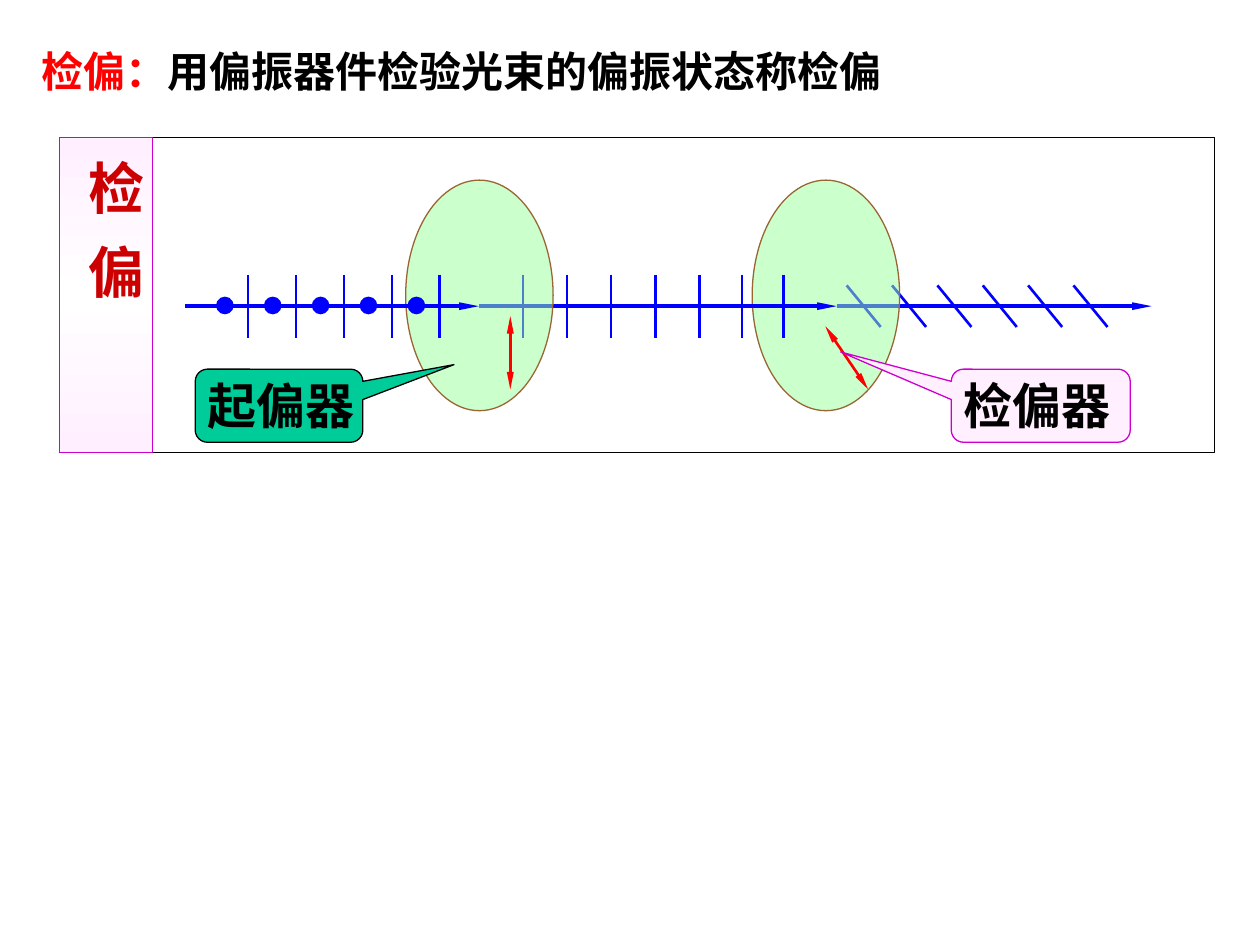
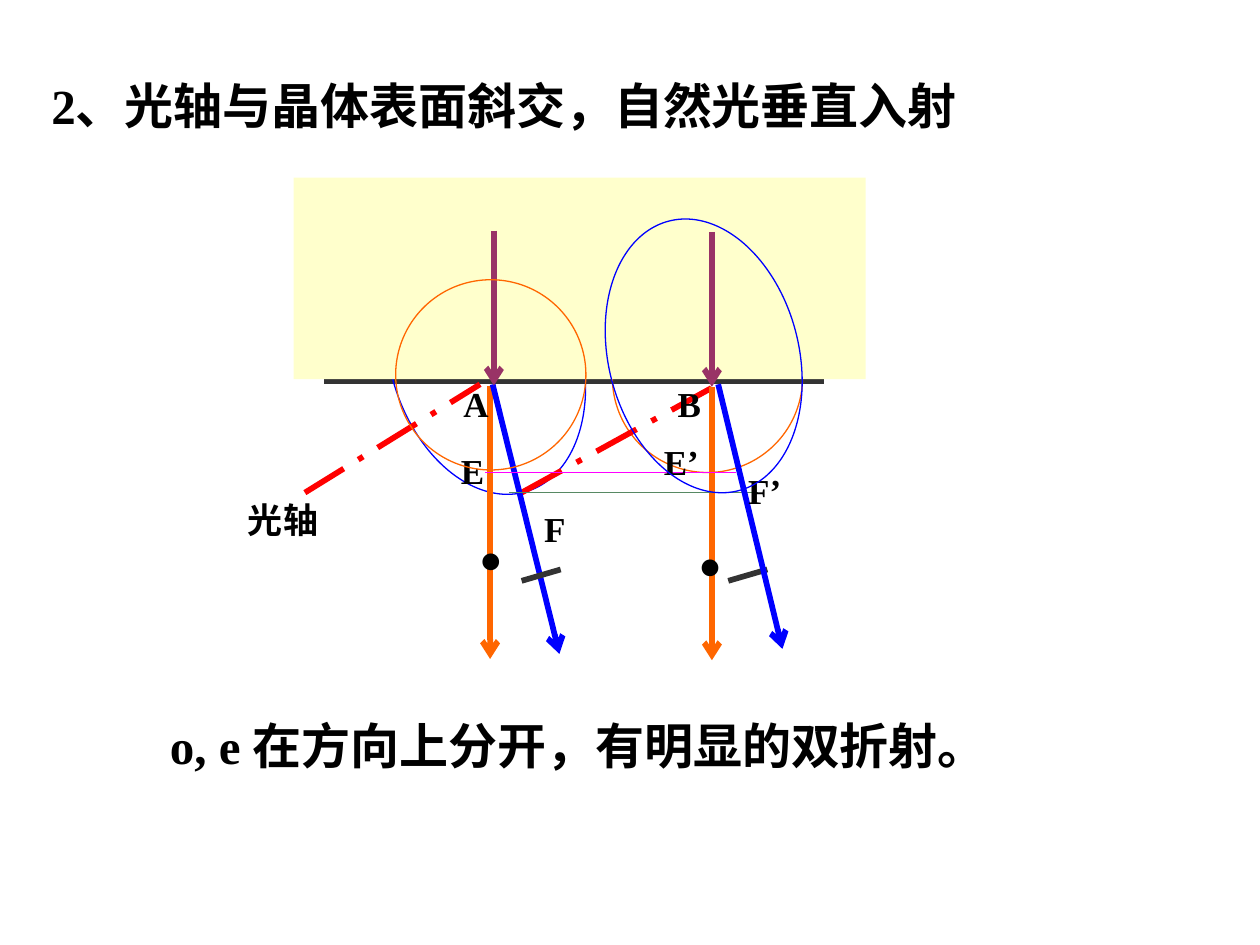
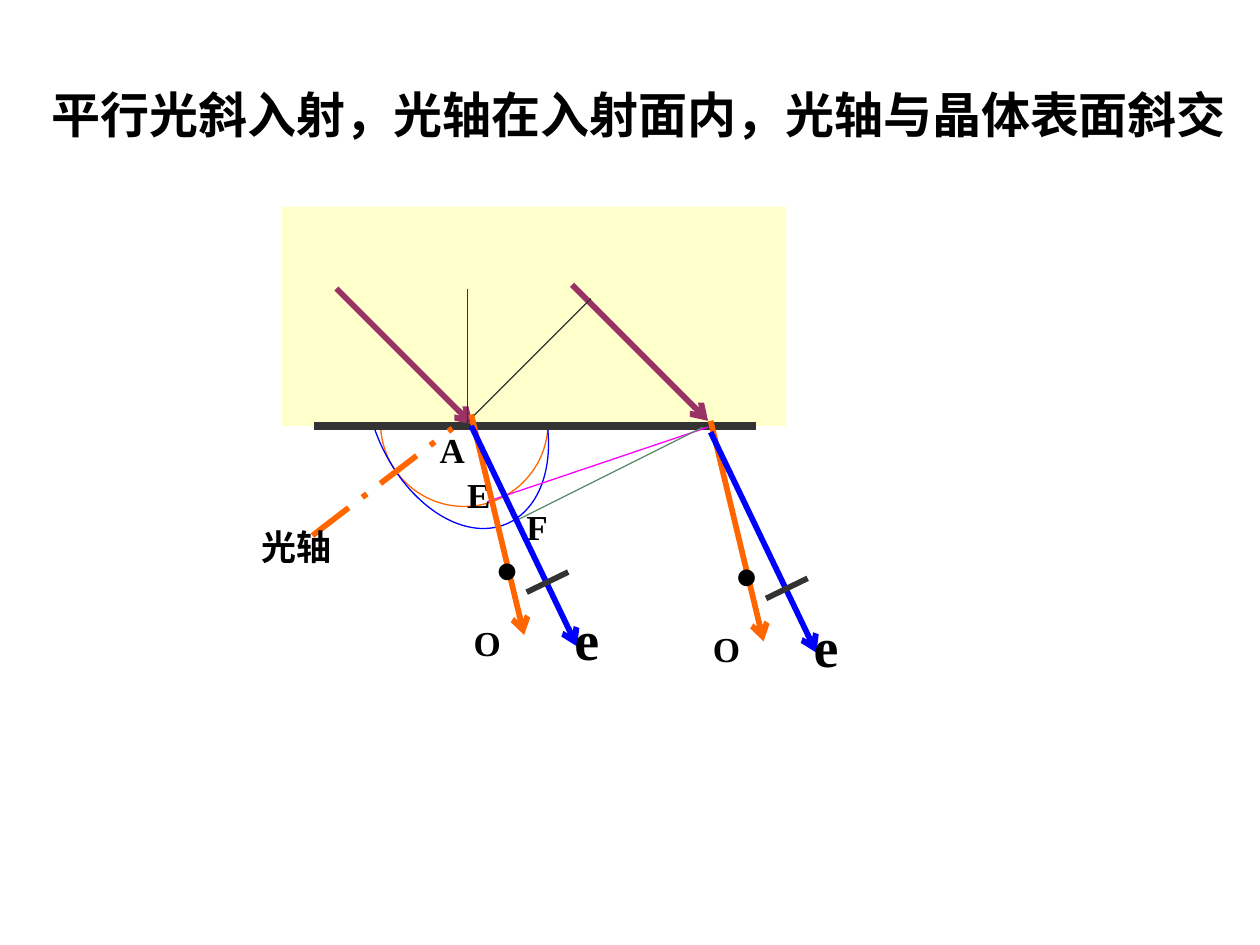
from copy import deepcopy

from lxml import etree
from pptx import Presentation
from pptx.dml.color import RGBColor
from pptx.enum.dml import MSO_LINE
from pptx.enum.shapes import MSO_CONNECTOR, MSO_SHAPE
from pptx.enum.text import MSO_ANCHOR
from pptx.oxml.ns import qn
from pptx.util import Inches, Pt

RECT, OVAL = MSO_SHAPE.RECTANGLE, MSO_SHAPE.OVAL
BUBBLE = MSO_SHAPE.ROUNDED_RECTANGULAR_CALLOUT
STRAIGHT = MSO_CONNECTOR.STRAIGHT
DASH = MSO_LINE.LONG_DASH_DOT
MIDDLE = MSO_ANCHOR.MIDDLE

BLACK = RGBColor(0x00, 0x00, 0x00)
WHITE = RGBColor(0xFF, 0xFF, 0xFF)
GRAY = RGBColor(0x33, 0x33, 0x33)
RED = RGBColor(0xFF, 0x00, 0x00)
CRIMSON = RGBColor(0xCC, 0x00, 0x00)
BLUE = RGBColor(0x00, 0x00, 0xFF)
ORANGE = RGBColor(0xFF, 0x66, 0x00)
PLUM = RGBColor(0x99, 0x33, 0x66)
MAGENTA = RGBColor(0xFF, 0x00, 0xFF)
SAGE = RGBColor(0x57, 0x89, 0x63)
CREAM = RGBColor(0xFF, 0xFF, 0xCC)
LENS = RGBColor(0x99, 0xFF, 0x99)
BROWN = RGBColor(0x99, 0x66, 0x33)
PINK = RGBColor(0xFF, 0xEF, 0xFF)
VIOLET = RGBColor(0xCC, 0x00, 0xCC)
TEAL = RGBColor(0x00, 0xCC, 0x99)

LATIN, HAN = "Times New Roman", "Noto Sans CJK SC"
THIN, TICK, BEAM, RAY, FACE = 0.75, 1.5, 2.25, 3.25, 4.5
SLIM = {"type": "triangle", "w": "sm", "len": "lg"}
OPEN = {"type": "arrow"}


def style(run, size, color=BLACK, bold=True):
    font = run.font
    font.size, font.bold, font.name = Pt(size), bold, LATIN
    font.color.rgb = color
    if any("一" <= char <= "鿿" for char in run.text):
        etree.SubElement(run._r.get_or_add_rPr(), qn("a:ea"), typeface=HAN)


def write(slide, text, left, top, width, height, size=28):
    """Add a wrapping line of bold text and return its frame."""
    box = slide.shapes.add_textbox(*map(Inches, (left, top, width, height)))
    frame = box.text_frame
    frame.word_wrap = True
    frame.text = text
    style(frame.paragraphs[0].runs[0], size)
    return frame


def label(slide, text, left, top, size=20, bold=True, width=0.4):
    """Add a short mark that does not wrap."""
    frame = write(slide, text, left, top, width, 0.1 + size / 60, size)
    frame.word_wrap = False
    frame.paragraphs[0].runs[0].font.bold = bold


def axis(slide, left, top):
    label(slide, "光轴", left, top, width=0.8)


def dot(slide, left, top):
    label(slide, "•", left, top, 40, False)


def line(slide, ends, color, width, head=None, tail=None, dash=None):
    """Draw a line through ends (x1, y1, x2, y2)."""
    wire = slide.shapes.add_connector(STRAIGHT, *map(Inches, ends))
    wire.line.color.rgb = color
    wire.line.width = Pt(width)
    if dash:
        wire.line.dash_style = dash
    stroke = wire.line._get_or_add_ln()
    for tag, tip in (("a:headEnd", head), ("a:tailEnd", tail)):
        if tip:
            etree.SubElement(stroke, qn(tag), tip)
    etree.SubElement(wire._element.spPr, qn("a:effectLst"))


def ray(slide, color, *ends):
    line(slide, ends, color, RAY, tail=OPEN)


def shape(slide, kind, box, fill=None, edge=None, turn=0):
    item = slide.shapes.add_shape(kind, *map(Inches, box))
    item.shadow.inherit = False
    item.rotation = turn
    if fill is None:
        item.fill.background()
    else:
        item.fill.solid()
        item.fill.fore_color.rgb = fill
    if edge is None:
        item.line.fill.background()
    else:
        item.line.color.rgb = edge
        item.line.width = Pt(THIN)
    return item


def lens(slide, left):
    """Draw a half transparent polariser."""
    item = shape(slide, OVAL, (left, 1.43, 1.17, 1.83), LENS, BROWN)
    color = item._element.spPr.find(qn("a:solidFill"))[0]
    etree.SubElement(color, qn("a:alpha"), val="50000")


def callout(slide, text, left, width, fill, edge, tip):
    item = shape(slide, BUBBLE, (left, 2.93, width, 0.58), fill, edge)
    for i, value in enumerate(tip):
        item.adjustments[i] = value
    write(slide, text, left, 2.93, 1.92, 0.57)


def sidebar(slide, text):
    """Draw the upright heading on a pink gradient."""
    item = shape(slide, RECT, (0.47, 1.09, 0.74, 2.5), PINK, VIOLET)
    item.fill.gradient()
    item.fill.gradient_angle = 90
    first, last = item.fill.gradient_stops
    first.color.rgb = last.color.rgb = PINK
    stops = item._element.spPr.find(qn("a:gradFill")).find(qn("a:gsLst"))
    stops.insert(1, deepcopy(stops[0]))
    middle = item.fill.gradient_stops[1]
    middle.position, middle.color.rgb = 0.5, WHITE
    frame = item.text_frame
    frame.text = text
    frame.vertical_anchor = MIDDLE
    frame.margin_left, frame.margin_right = Inches(0.14), 0
    frame.margin_top = Inches(0.18)
    frame._txBody.bodyPr.set("vert", "eaVert")
    para = frame.paragraphs[0]
    para._p.get_or_add_pPr().set("algn", "l")
    style(para.runs[0], 32, CRIMSON)
    para.runs[0]._r.get_or_add_rPr().set("spc", "420")


def beam(slide, start, end):
    line(slide, (start, 2.43, end, 2.43), BLUE, BEAM, tail=SLIM)


def ticks(slide, start, step, count, lean=0, half=0.25):
    """Draw evenly spaced vibration marks across the beam."""
    for i in range(count):
        x = start + i * step
        line(slide, (x, 2.43 - half, x + lean, 2.43 + half), BLUE, TICK)


def swing(slide, *ends):
    line(slide, ends, RED, TICK, SLIM, SLIM)


def check(slide):
    """Polariser and analyser in one beam."""
    shape(slide, RECT, (0.47, 1.09, 9.17, 2.5), WHITE, BLACK)
    beam(slide, 6.64, 9.14)
    ticks(slide, 6.72, 0.36, 6, 0.27, 0.165)
    lens(slide, 5.97)
    swing(slide, 6.89, 3.09, 6.55, 2.59)
    callout(slide, "检偏器", 7.55, 1.42, PINK, VIOLET, (-1.118, -0.735))
    sidebar(slide, "检 偏")
    beam(slide, 3.8, 6.64)
    ticks(slide, 4.15, 0.35, 5)
    ticks(slide, 5.89, 0.33, 2)
    lens(slide, 3.22)
    swing(slide, 4.05, 3.09, 4.05, 2.51)
    beam(slide, 1.47, 3.8)
    ticks(slide, 1.97, 0.38, 5)
    for i in range(5):
        shape(slide, OVAL, (1.72 + i * 0.38, 2.36, 0.13, 0.13), BLUE, BLUE)
    callout(slide, "起偏器", 1.55, 1.33, TEAL, BLACK, (1.044, -0.562))
    frame = write(slide, "检偏：", 0.23, 0.31, 8.66, 0.5, 24)
    frame.vertical_anchor = MIDDLE
    para = frame.paragraphs[0]
    para.runs[0].font.color.rgb = RED
    rest = para.add_run()
    rest.text = "用偏振器件检验光束的偏振状态称检偏"
    style(rest, 24)


def normal(slide):
    """Light falling straight on the crystal."""
    write(slide, "2、光轴与晶体表面斜交，自然光垂直入射", 0.31, 0.55, 8.92, 0.57)
    write(slide, "o, e 在方向上分开，有明显的双折射。", 1.25, 5.63, 7.88, 0.57)
    line(slide, (2.57, 3.02, 6.54, 3.02), GRAY, FACE)
    shape(slide, OVAL, (3.1, 1.74, 1.51, 2.21), edge=BLUE, turn=342.6)
    shape(slide, OVAL, (4.86, 2.24, 1.51, 1.51), edge=ORANGE)
    for ends in ((2.42, 3.91, 3.81, 3.05), (4.14, 3.91, 5.7, 3.05)):
        line(slide, ends, RED, RAY, dash=DASH)
    for x, y in ((3.89, 3.06), (5.65, 3.07)):
        ray(slide, ORANGE, x, y, x, y + 2.17)
    ray(slide, BLUE, 3.91, 3.05, 4.44, 5.19)
    dot(slide, 3.7, 4.04)
    dot(slide, 5.44, 4.09)
    for x in (4.14, 5.78):
        line(slide, (x, 4.61, x + 0.31, 4.52), GRAY, RAY)
    shape(slide, RECT, (2.33, 1.41, 4.54, 1.6), CREAM)
    for x, y in ((3.92, 1.83), (5.65, 1.84)):
        ray(slide, PLUM, x, y, x, y + 1.23)
    line(slide, (3.85, 3.75, 5.84, 3.75), MAGENTA, THIN)
    line(slide, (4.04, 3.91, 6.02, 3.91), SAGE, THIN)
    ray(slide, BLUE, 5.7, 3.05, 6.21, 5.15)
    axis(slide, 1.87, 3.91)
    for text, x, y in (("A", 3.58, 2.99), ("E", 3.56, 3.52),
                       ("F", 4.22, 3.98), ("B", 5.28, 2.99)):
        label(slide, text, x, y)
    for text, x, y in (("E’", 5.17, 3.45), ("F’", 5.84, 3.68)):
        label(slide, text, x, y, width=0.5)
    shape(slide, OVAL, (3.14, 2.22, 1.51, 1.51), edge=ORANGE)
    shape(slide, OVAL, (4.83, 1.72, 1.51, 2.21), edge=BLUE, turn=345.5)


def split(slide, dx, dy):
    """Draw the o and e rays, moved by dx and dy."""
    ray(slide, ORANGE, 3.74 + dx, 3.29 + dy, 4.16 + dx, 5.04 + dy)
    ray(slide, BLUE, 3.74 + dx, 3.38 + dy, 4.58 + dx, 5.13 + dy)
    label(slide, "e", 4.46 + dx, 4.75 + dy, 32)
    label(slide, "O", 3.66 + dx, 4.88 + dy, width=0.42)
    dot(slide, 3.83 + dx, 4.12 + dy)
    line(slide, (4.18 + dx, 4.7 + dy, 4.51 + dx, 4.54 + dy), GRAY, RAY)


def oblique(slide):
    """Light falling at an angle on the crystal."""
    shape(slide, OVAL, (3.02, 2.69, 1.33, 1.33), edge=ORANGE)
    shape(slide, OVAL, (2.96, 2.25, 1.33, 1.99), edge=BLUE, turn=336.3)
    shape(slide, RECT, (2.24, 1.64, 4, 1.74), CREAM)
    line(slide, (2.49, 3.38, 6, 3.38), GRAY, FACE)
    for x, y in ((2.67, 2.29), (4.54, 2.26)):
        ray(slide, PLUM, x, y, x + 1.08, y + 1.08)
    line(slide, (2.48, 4.25, 3.59, 3.4), ORANGE, RAY, dash=DASH)
    for ends, color in (((3.7, 3.36, 4.69, 2.37), GRAY),
                        ((3.71, 2.29, 3.71, 3.38), GRAY),
                        ((3.87, 3.98, 5.62, 3.39), MAGENTA),
                        ((4.08, 4.14, 5.58, 3.39), SAGE)):
        line(slide, ends, color, THIN)
    axis(slide, 1.98, 4.12)
    for text, x, y in (("A", 3.39, 3.35), ("F", 4.08, 3.96),
                       ("E", 3.61, 3.71)):
        label(slide, text, x, y)
    split(slide, 0, 0)
    split(slide, 1.9, 0.05)
    write(slide, "平行光斜入射，光轴在入射面内，光轴与晶体表面斜交",
          0.31, 0.62, 9.69, 0.57)


def main():
    deck = Presentation()
    deck.slide_width, deck.slide_height = Inches(10), Inches(7.5)
    for build in (check, normal, oblique):
        build(deck.slides.add_slide(deck.slide_layouts[6]))
    deck.save("out.pptx")


if __name__ == "__main__":
    main()
